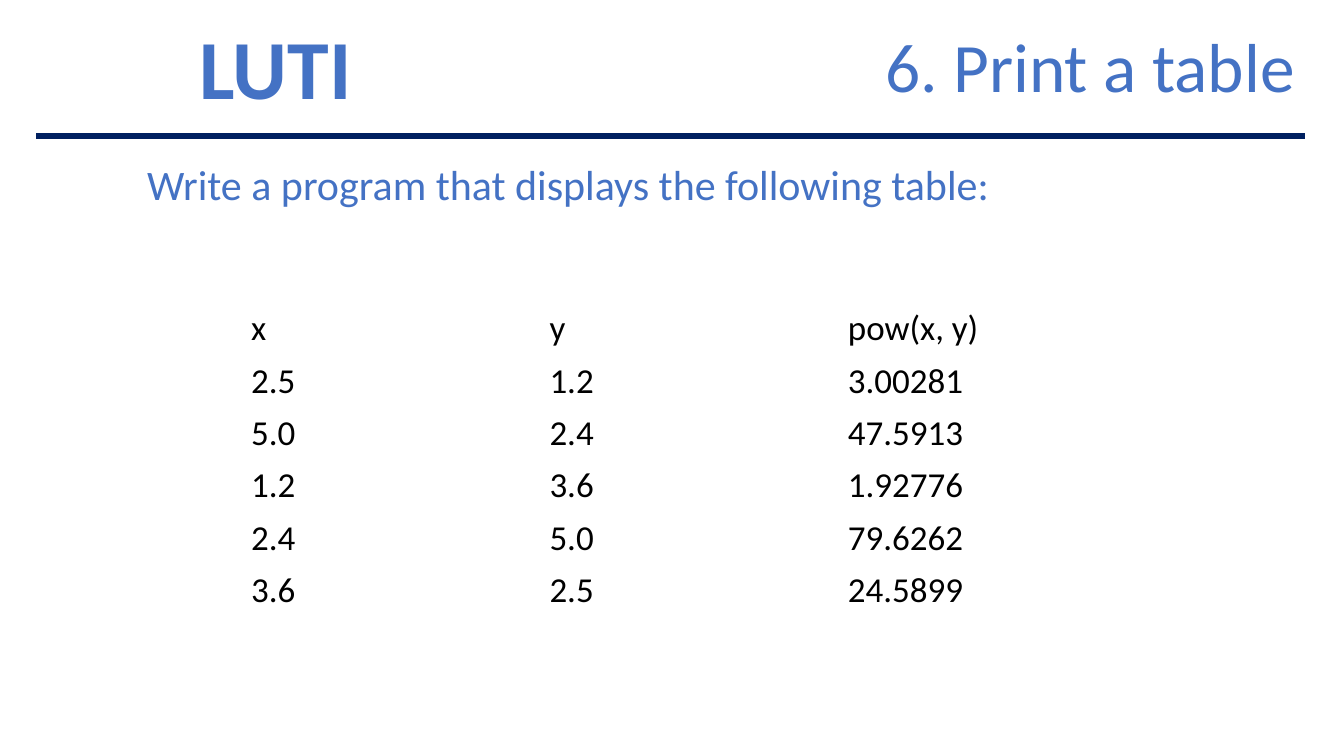
from dataclasses import dataclass

from lxml.etree import SubElement
from pptx import Presentation
from pptx.dml.color import RGBColor
from pptx.enum.shapes import MSO_CONNECTOR
from pptx.enum.text import MSO_ANCHOR, PP_ALIGN
from pptx.oxml.ns import qn
from pptx.util import Inches, Pt


@dataclass(frozen=True)
class Theme:
    font: str = "Calibri"
    accent: RGBColor = RGBColor(0x44, 0x72, 0xC4)
    rule: RGBColor = RGBColor(0x00, 0x20, 0x60)
    ink: RGBColor = RGBColor(0, 0, 0)
    brand_size: float = 60
    title_size: float = 49.5
    task_size: float = 30
    table_size: float = 25
    rule_width: float = 4.5


THEME = Theme()
SLIDE_WIDTH, SLIDE_HEIGHT = 13.33, 7.5
MARGIN_LEFT, MARGIN_RIGHT = 0.36, 12.94
CONTENT_WIDTH = MARGIN_RIGHT - MARGIN_LEFT
RULE_TOP = 1.35
COLUMN_WIDTH, ROW_HEIGHT = 2.96, 0.52

POWER_TABLE = [
    ("x", "y", "pow(x, y)"),
    ("2.5", "1.2", "3.00281"),
    ("5.0", "2.4", "47.5913"),
    ("1.2", "3.6", "1.92776"),
    ("2.4", "5.0", "79.6262"),
    ("3.6", "2.5", "24.5899"),
]


def apply_format(target, values):
    for name, value in values.items():
        setattr(target, name, value)


def write_text(paragraph, text, size, color, bold=False):
    run = paragraph.add_run()
    run.text = text
    apply_format(run.font, {"name": THEME.font, "size": Pt(size), "bold": bold})
    run.font.color.rgb = color


def add_text(slide, box, text, size, paragraph_format, bold=False,
             anchor=MSO_ANCHOR.TOP, first_line_indent=0):
    shape = slide.shapes.add_textbox(*map(Inches, box))
    apply_format(shape.text_frame, {"word_wrap": True, "vertical_anchor": anchor})
    paragraph = shape.text_frame.paragraphs[0]
    apply_format(paragraph, paragraph_format)
    if first_line_indent:
        paragraph._p.get_or_add_pPr().set("indent", str(Inches(first_line_indent)))
    write_text(paragraph, text, size, THEME.accent, bold)


def add_rule(slide, top):
    line = slide.shapes.add_connector(
        MSO_CONNECTOR.STRAIGHT,
        *map(Inches, (MARGIN_LEFT, top, MARGIN_RIGHT, top)))
    line.line.color.rgb = THEME.rule
    line.line.width = Pt(THEME.rule_width)
    SubElement(line._element.spPr, qn("a:effectLst"))


def add_plain_table(slide, left, top, rows):
    row_count, column_count = len(rows), len(rows[0])
    size = (column_count * COLUMN_WIDTH, row_count * ROW_HEIGHT)
    table = slide.shapes.add_table(
        row_count, column_count, *map(Inches, (left, top, *size))).table
    apply_format(table, {"first_row": False, "horz_banding": False})
    for row, values in zip(table.rows, rows):
        for cell, value in zip(row.cells, values):
            cell.fill.background()
            write_text(cell.text_frame.paragraphs[0], value,
                       THEME.table_size, THEME.ink)


def main():
    presentation = Presentation()
    presentation.slide_width = Inches(SLIDE_WIDTH)
    presentation.slide_height = Inches(SLIDE_HEIGHT)
    slide = presentation.slides.add_slide(presentation.slide_layouts[6])

    # Header: institution, title and rule
    add_text(slide, (1.88, 0.26, 1.93, 0.81), "LUTI", THEME.brand_size,
             {"alignment": PP_ALIGN.JUSTIFY, "line_spacing": 0.85,
              "space_before": Pt(13)}, bold=True)
    add_rule(slide, RULE_TOP)
    add_text(slide, (5.48, 0.33, 7.46, 0.75), "6. Print a table", THEME.title_size,
             {"alignment": PP_ALIGN.RIGHT, "line_spacing": 0.7},
             anchor=MSO_ANCHOR.BOTTOM)

    # Task
    add_text(slide, (MARGIN_LEFT, 1.42, CONTENT_WIDTH, 3.2),
             "Write a program that displays the following table:", THEME.task_size,
             {"alignment": PP_ALIGN.JUSTIFY, "line_spacing": 1.2},
             first_line_indent=1)

    # Table of powers
    add_plain_table(slide, 2.39, 3, POWER_TABLE)

    presentation.save("out.pptx")


main()
